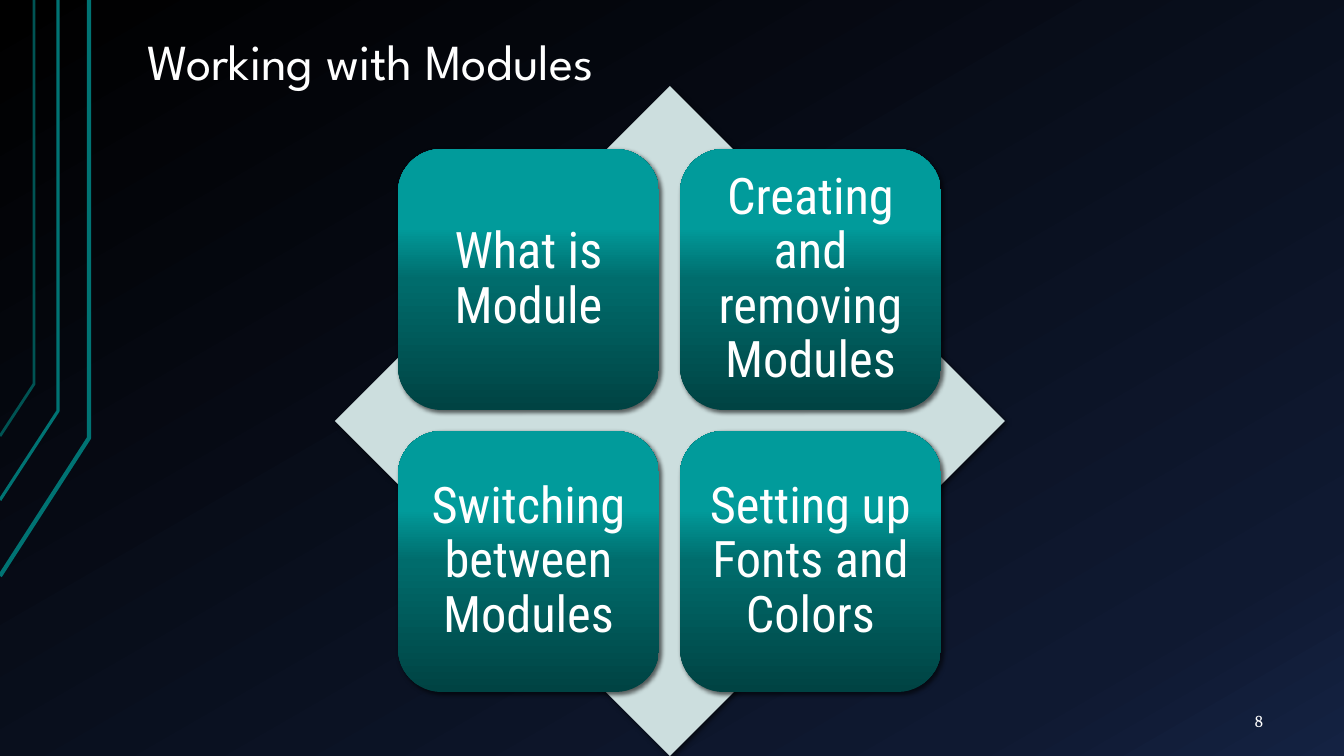
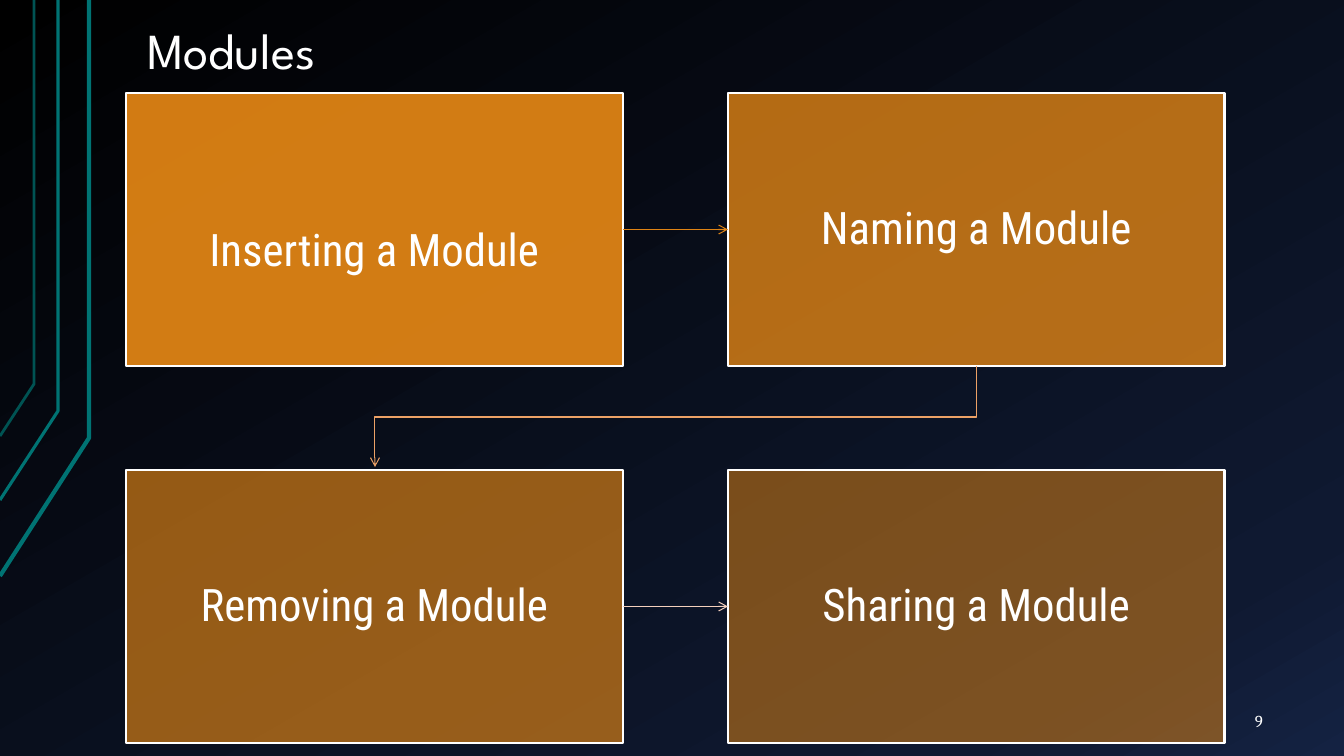
from lxml.etree import SubElement as Sub
from pptx import Presentation as Deck
from pptx.dml.color import RGBColor as RGB
from pptx.enum.shapes import MSO_CONNECTOR as Link, MSO_SHAPE as Form
from pptx.enum.text import MSO_ANCHOR as Anchor, PP_ALIGN as Align
from pptx.oxml.ns import qn
from pptx.util import Pt

# Scale and slide size
PX = 12192000 / 1344
WIDE, HIGH = 1344, 756

# Colours
WHITE = RGB(0xFF, 0xFF, 0xFF)
BLACK = RGB(0x00, 0x00, 0x00)
TEAL = RGB(0x00, 0x73, 0x73)
DIM = RGB(0x00, 0x53, 0x53)
PALE = RGB(0xCC, 0xDE, 0xDE)
AMBER = RGB(0xE9, 0x89, 0x15)
DARK = RGB(0xDF, 0x83, 0x14)
PEACH = RGB(0xEC, 0xA1, 0x66)
CREAM = RGB(0xF4, 0xD0, 0xBD)
NIGHT = [(0, BLACK), (85, RGB(0x0F, 0x19, 0x31)), (100, RGB(0x14, 0x22, 0x42))]
GLOSS = [(0, RGB(0x00, 0x43, 0x43)), (50, RGB(0x00, 0x6C, 0x6C)),
         (70, RGB(0x01, 0x9B, 0x9B)), (100, RGB(0x00, 0x99, 0x99))]

# Fonts
HEAD, BODY, FOOT = "League Spartan", "Roboto Condensed", "Cambria"


def px(*sizes):
    return [round(size * PX) for size in sizes]


def blend(item, fill, stops, angle):
    """Fill a shape or a slide with a gradient of any number of stops."""
    fill.gradient()
    fill.gradient_angle = angle
    ramp = item.element.find(".//" + qn("a:gsLst"))
    ramp.clear()
    for place, tone in stops:
        stop = Sub(ramp, qn("a:gs"), pos=str(place * 1000))
        Sub(stop, qn("a:srgbClr"), val=str(tone))


def stroke(item, tone, width, arrow=False):
    item.line.color.rgb = tone
    item.line.width = Pt(width)
    if arrow:
        Sub(item.element.find(".//" + qn("a:ln")), qn("a:tailEnd"), type="arrow")


def write(item, text, font, size, align, anchor, pads, space=0.9):
    frame = item.text_frame
    frame.text = text
    frame.word_wrap = True
    frame.vertical_anchor = anchor
    (frame.margin_left, frame.margin_top,
     frame.margin_right, frame.margin_bottom) = px(*pads)
    line = frame.paragraphs[0]
    line.alignment = align
    line.line_spacing = space
    face = line.runs[0].font
    face.name, face.size, face.color.rgb = font, Pt(size), WHITE


def trace(slide, points, tone, width, arrow=False):
    """Draw an open line through the points."""
    spots = [px(*point) for point in points]
    pen = slide.shapes.build_freeform(*spots[0])
    pen.add_line_segments(spots[1:], close=False)
    path = pen.convert_to_shape()
    path.fill.background()
    path.shadow.inherit = False
    stroke(path, tone, width, arrow)


def block(slide, form, *area):
    item = slide.shapes.add_shape(form, *px(*area))
    item.shadow.inherit = False
    return item


def shade(item):
    """Cast a soft shadow to the lower right."""
    item.line.fill.background()
    glow = Sub(item.element.spPr.find(qn("a:effectLst")), qn("a:outerShdw"),
               blurRad=str(Pt(3)), dist=str(Pt(2)), dir="2700000",
               algn="tl", rotWithShape="0")
    tone = Sub(glow, qn("a:srgbClr"), val=str(BLACK))
    Sub(tone, qn("a:alpha"), val="60000")


def start(deck, title, top, number):
    """Add a slide with the shared backdrop, title and number."""
    slide = deck.slides.add_slide(deck.slide_layouts[6])
    blend(slide, slide.background.fill, NIGHT, 300)
    for x, bend, foot, tone, width in ((89, 438, 576, TEAL, 3),
                                       (58, 411, 500, TEAL, 2.25),
                                       (34, 384, 436, DIM, 2)):
        trace(slide, [(0, foot), (x, bend), (x, 0)], tone, width)
    box = slide.shapes.add_textbox(*px(134, top, 1142, 80))
    write(box, title, HEAD, 36, Align.LEFT, Anchor.TOP, (13, 7, 13, 7))
    box = slide.shapes.add_textbox(*px(1164, 701, 112, 40))
    write(box, str(number), FOOT, 12, Align.RIGHT, Anchor.MIDDLE,
          (13, 7, 13, 7), 1)
    return slide


def tile(slide, text, x, y):
    item = block(slide, Form.ROUNDED_RECTANGLE, x, y, 261, 261)
    blend(item, item.fill, GLOSS, 90)
    shade(item)
    write(item, text, BODY, 36, Align.CENTER, Anchor.MIDDLE, (15,) * 4)


def card(slide, text, x, y, alpha, drop):
    item = block(slide, Form.RECTANGLE, x, y, 497, 273)
    item.fill.solid()
    item.fill.fore_color.rgb = AMBER
    tone = item.element.spPr.find(qn("a:solidFill")).find(qn("a:srgbClr"))
    Sub(tone, qn("a:alpha"), val=str(alpha * 1000))
    stroke(item, WHITE, 2)
    write(item, text, BODY, 32, Align.CENTER, Anchor.MIDDLE,
          (25, 25 + 2 * drop, 25, 25))
    return item


def join(slide, left, right, tone):
    """Link two cards of a row with an arrow."""
    link = slide.shapes.add_connector(Link.STRAIGHT, 0, 0, 0, 0)
    link.begin_connect(left, 3)
    link.end_connect(right, 1)
    stroke(link, tone, 0.75, True)
    Sub(link.element.spPr, qn("a:effectLst"))


def topics(deck):
    slide = start(deck, "Working with Modules", 30, 8)
    back = block(slide, Form.DIAMOND, 335, 86, 670, 670)
    back.fill.solid()
    back.fill.fore_color.rgb = PALE
    shade(back)
    names = ("What is Module", "Creating and removing Modules",
             "Switching between Modules", "Setting up Fonts and Colors")
    for i, name in enumerate(names):
        tile(slide, name, 398 + i % 2 * 282, 149 + i // 2 * 282)


def steps(deck):
    slide = start(deck, "Modules", 19, 9)
    plan = (("Inserting a Module", 90, 22), ("Naming a Module", 77, 0),
            ("Removing a Module", 63, 0), ("Sharing a Module", 50, 0))
    cards = [card(slide, name, 126 + i % 2 * 602, 93 + i // 2 * 377, alpha, drop)
             for i, (name, alpha, drop) in enumerate(plan)]
    join(slide, cards[0], cards[1], DARK)
    join(slide, cards[2], cards[3], CREAM)
    # Turn from the first row to the second
    trace(slide, [(977, 366), (977, 417), (375, 417), (375, 467)],
          PEACH, 0.75, True)


def main():
    deck = Deck()
    deck.slide_width, deck.slide_height = px(WIDE, HIGH)
    topics(deck)
    steps(deck)
    deck.save("out.pptx")


if __name__ == "__main__":
    main()
